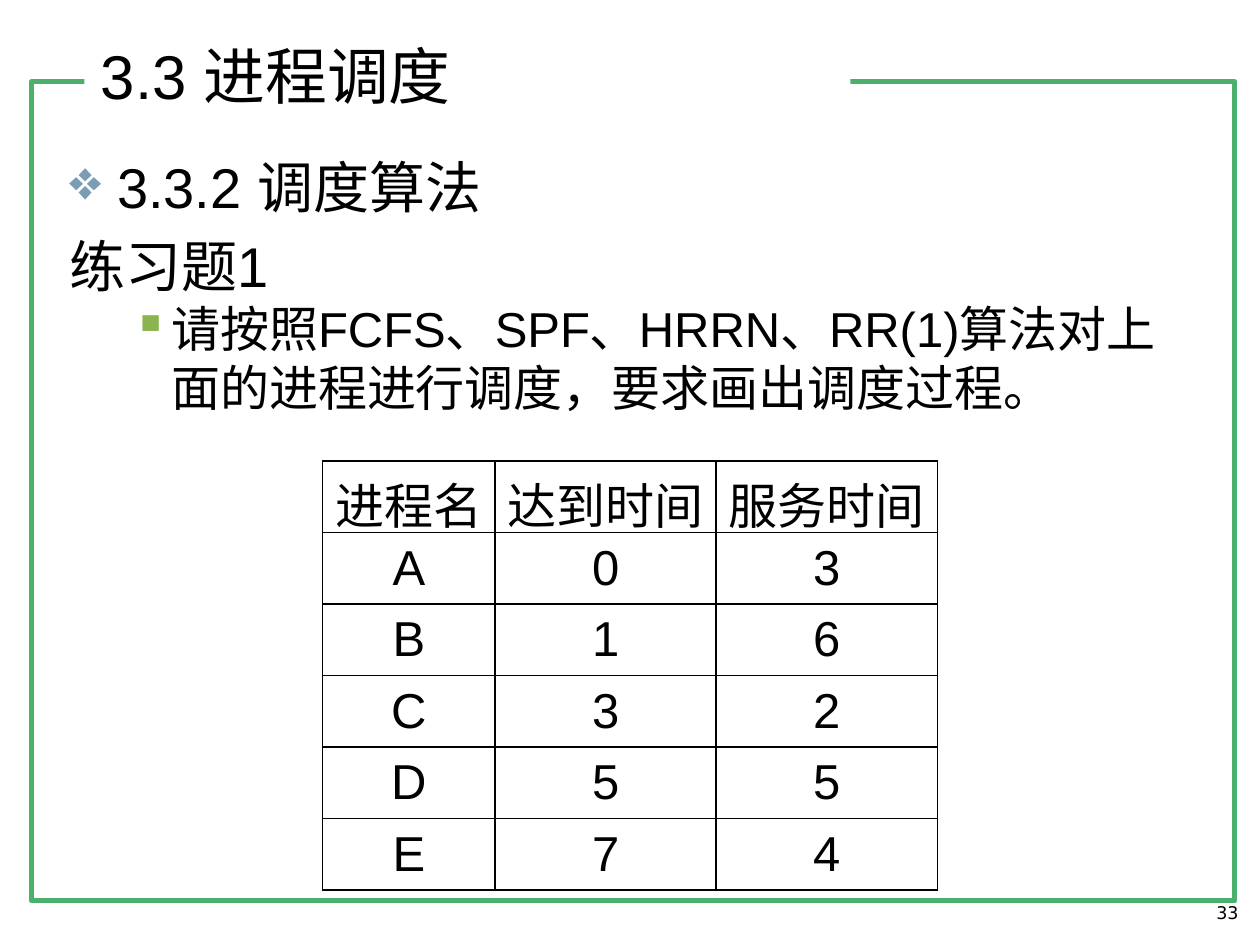
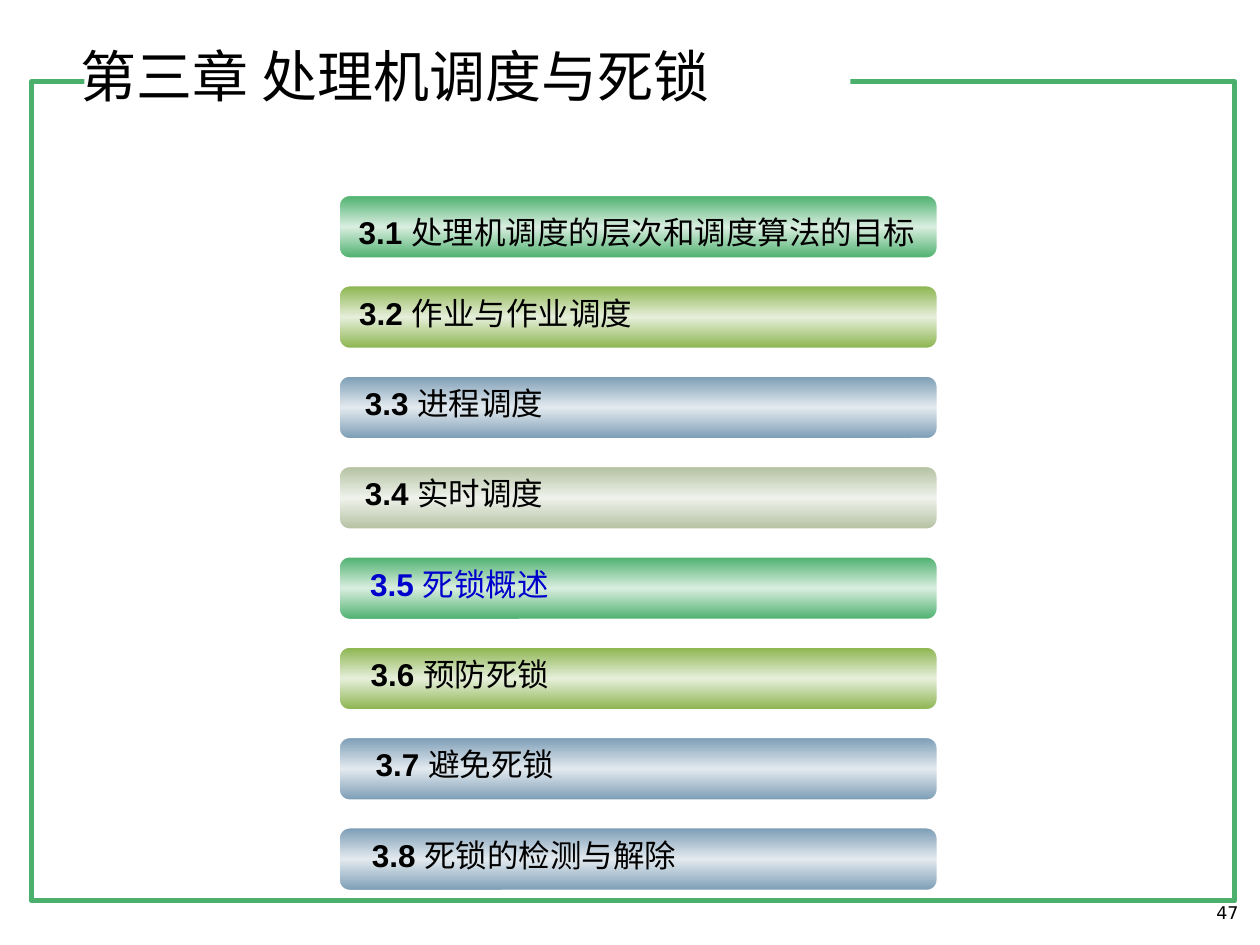
"""Build two lecture slides on process scheduling and deadlock."""
import copy

import pptx
import pptx.dml.color
import pptx.enum.shapes
import pptx.enum.text
import pptx.oxml.ns
import pptx.oxml.xmlchemy
import pptx.util

COLORS = {
    "paper": "FFFFFF", "ink": "000000", "current": "0000CC",
    "green": "4CB06D", "green_light": "D9EEE0",
    "olive": "8BB44E", "olive_light": "E6EFDA",
    "blue": "7B9CB5", "blue_light": "E3EAEF",
    "sage": "B3C1A1", "sage_light": "EFF2EB",
}
COLUMNS, ROWS = 100, 75
LEFT = pptx.enum.text.PP_ALIGN.LEFT
CENTER = pptx.enum.text.PP_ALIGN.CENTER
RIGHT = pptx.enum.text.PP_ALIGN.RIGHT
TOP = pptx.enum.text.MSO_ANCHOR.TOP
MIDDLE = pptx.enum.text.MSO_ANCHOR.MIDDLE
RECTANGLE = pptx.enum.shapes.MSO_SHAPE.RECTANGLE
ROUNDED = pptx.enum.shapes.MSO_SHAPE.ROUNDED_RECTANGLE


def color(name):
    """Return the named colour."""
    return pptx.dml.color.RGBColor.from_string(COLORS[name])


def add_element(parent, tag, **attributes):
    """Append a drawing element with its attributes."""
    element = parent.makeelement(pptx.oxml.ns.qn(tag), attributes)
    parent.append(element)
    return element


class Lecture:
    """Hold the shared style and draw on the current slide."""

    latin, asian, page_font = "Arial", "Noto Sans CJK SC", "DejaVu Sans"
    inset = pptx.util.Inches(0.05)

    def __init__(self):
        """Open an empty deck."""
        self.deck = pptx.Presentation()
        self.deck.slide_width = pptx.util.Inches(10)
        self.deck.slide_height = pptx.util.Inches(7.5)
        self.slide = None

    def across(self, columns):
        """Convert grid columns to a length."""
        return round(self.deck.slide_width * columns / COLUMNS)

    def down(self, rows):
        """Convert grid rows to a length."""
        return round(self.deck.slide_height * rows / ROWS)

    def box(self, left, top, width, height):
        """Convert a grid area to lengths."""
        return self.across(left), self.down(top), self.across(width), self.down(height)

    def start_slide(self, title, title_left, title_size, page):
        """Add a slide with its frame, title and page number."""
        self.slide = self.deck.slides.add_slide(self.deck.slide_layouts[6])
        frame = self.shape(RECTANGLE, (2.5, 6.5, 95.5, 65), "green", 3)
        frame.fill.background()
        title_gap = self.shape(RECTANGLE, (6.7, 2.1, 60.8, 11.9))
        title_gap.fill.solid()
        title_gap.fill.fore_color.rgb = color("paper")
        self.text((75.5, 71.1, 23.3, 2.7), [page], 10, RIGHT, font=self.page_font)
        self.text((title_left, 2.1, 55.1, 7.7), [title], title_size, anchor=MIDDLE)

    def shape(self, preset, area, line=None, line_width=1):
        """Add a preset shape without shadow."""
        shape = self.slide.shapes.add_shape(preset, *self.box(*area))
        shape.shadow.inherit = False
        if line:
            shape.line.color.rgb = color(line)
            shape.line.width = pptx.util.Pt(line_width)
        else:
            shape.line.fill.background()
        return shape

    def bar(self, area, tone):
        """Add a rounded bar that is light along its middle."""
        bar = self.shape(ROUNDED, area, "paper")
        bar.adjustments[0] = 0.167
        bar.fill.gradient()
        bar.fill.gradient_angle = 90
        edge, middle = bar.fill.gradient_stops
        edge.color.rgb = color(tone)
        edge.position = 0
        middle.color.rgb = color(tone + "_light")
        middle.position = 0.5
        far_edge = copy.deepcopy(edge._gs)
        far_edge.set("pos", "100000")
        middle._gs.addnext(far_edge)

    def format_run(self, run, size, ink="ink", bold=False, font=None):
        """Give a run its fonts, size and colour."""
        run.font.size = pptx.util.Pt(size)
        run.font.bold = bold
        run.font.color.rgb = color(ink)
        run.font.name = font or self.latin
        add_element(run._r.get_or_add_rPr(), "a:ea", typeface=font or self.asian)

    def text(self, area, parts, size, align=LEFT, anchor=TOP, ink="ink", font=None):
        """Add one line of text; every part but the last is bold."""
        frame = self.slide.shapes.add_textbox(*self.box(*area)).text_frame
        self.prepare(frame, anchor)
        line = frame.paragraphs[0]
        line.alignment = align
        for part in parts:
            run = line.add_run()
            run.text = part
            self.format_run(run, size, ink, part is not parts[-1], font)

    def prepare(self, frame, anchor):
        """Set wrapping, anchor and insets of a text frame."""
        frame.word_wrap = True
        frame.vertical_anchor = anchor
        frame.margin_left = frame.margin_right = self.inset
        frame.margin_top = frame.margin_bottom = self.inset

    def outline(self, area, items):
        """Add paragraphs of text, size, space before, indents and bullet."""
        frame = self.slide.shapes.add_textbox(*self.box(*area)).text_frame
        self.prepare(frame, TOP)
        frame.text = "\n".join(item[0] for item in items)
        for paragraph, item in zip(frame.paragraphs, items):
            _, size, before, margin, hanging, bullet, tone = item
            paragraph.space_before = pptx.util.Pt(before)
            self.format_run(paragraph.runs[0], size)
            properties = paragraph._p.get_or_add_pPr()
            properties.set("marL", str(self.across(margin)))
            properties.set("indent", str(-self.across(hanging)))
            if bullet:
                bullet_color = add_element(properties, "a:buClr")
                add_element(bullet_color, "a:srgbClr", val=COLORS[tone])
                add_element(properties, "a:buChar", char=bullet)

    def table(self, left, top, widths, row_height, rows):
        """Add a centred table with black rules."""
        area = self.box(left, top, sum(widths), row_height * len(rows))
        table = self.slide.shapes.add_table(len(rows), len(widths), *area).table
        table.first_row = table.horz_banding = False
        for column, width in zip(table.columns, widths):
            column.width = self.across(width)
        for row, values in zip(table.rows, rows):
            row.height = self.down(row_height)
            for cell, value in zip(row.cells, values):
                self.fill_cell(cell, value)

    def fill_cell(self, cell, value):
        """Write a table cell and rule its four sides."""
        cell.text = value
        cell.vertical_anchor = MIDDLE
        cell.margin_left = cell.margin_right = self.inset
        cell.margin_top = cell.margin_bottom = self.inset
        paragraph = cell.text_frame.paragraphs[0]
        paragraph.alignment = CENTER
        self.format_run(paragraph.runs[0], 28)
        properties = cell._tc.get_or_add_tcPr()
        for side in ("a:lnL", "a:lnR", "a:lnT", "a:lnB"):
            rule = add_element(properties, side, w=str(pptx.util.Pt(1)))
            add_element(add_element(rule, "a:solidFill"), "a:srgbClr", val=COLORS["ink"])
        cell.fill.background()


def add_exercise(lecture):
    """Add the scheduling exercise."""
    lecture.start_slide("3.3 进程调度", 7.5, 35.3, "33")
    lecture.outline((5, 11.6, 89.9, 57.4), [
        ("3.3.2 调度算法", 32, 7, 3.8, 3.8, "❖", "blue"),
        ("练习题1", 32, 7, 3.8, 3.8, None, None),
        ("请按照FCFS、SPF、HRRN、RR(1)算法对上面的进程进行调度，要求画出调度过程。",
         28, 0, 8.1, 3.1, "▪", "olive"),
    ])
    lecture.table(25.6, 36.6, (13.7, 17.55, 17.55), 5.67, [
        ("进程名", "达到时间", "服务时间"),
        ("A", "0", "3"),
        ("B", "1", "6"),
        ("C", "3", "2"),
        ("D", "5", "5"),
        ("E", "7", "4"),
    ])


def add_contents(lecture):
    """Add the chapter contents with the current section in blue."""
    lecture.start_slide("第三章 处理机调度与死锁", 5.9, 32, "47")
    sections = [
        ("处理机调度的层次和调度算法的目标", "green", 26.9, 47.3, CENTER),
        ("作业与作业调度", "olive", 28, 37.5, LEFT),
        ("进程调度", "blue", 22.4, 27.3, CENTER),
        ("实时调度", "sage", 24, 24.1, CENTER),
        ("死锁概述", "green", 17.7, 37.5, CENTER),
        ("预防死锁", "olive", 20.9, 31.2, CENTER),
        ("避免死锁", "blue", 20.9, 32, CENTER),
        ("死锁的检测与解除", "blue", 25.6, 32, CENTER),
    ]
    first_top, pitch, current = 15.5, 7.17, 5
    for number, (name, tone, left, width, align) in enumerate(sections, 1):
        top = first_top + pitch * (number - 1)
        drop = 0.9 if number == 1 else 0.15
        lecture.bar((26.9, top, 47.5, 5), tone)
        lecture.text((left, top + drop, width, 4.5), [f"3.{number} ", name], 18,
                     align, ink="current" if number == current else "ink")


def main():
    """Build and save the deck."""
    lecture = Lecture()
    add_exercise(lecture)
    add_contents(lecture)
    lecture.deck.save("out.pptx")


if __name__ == "__main__":
    main()
